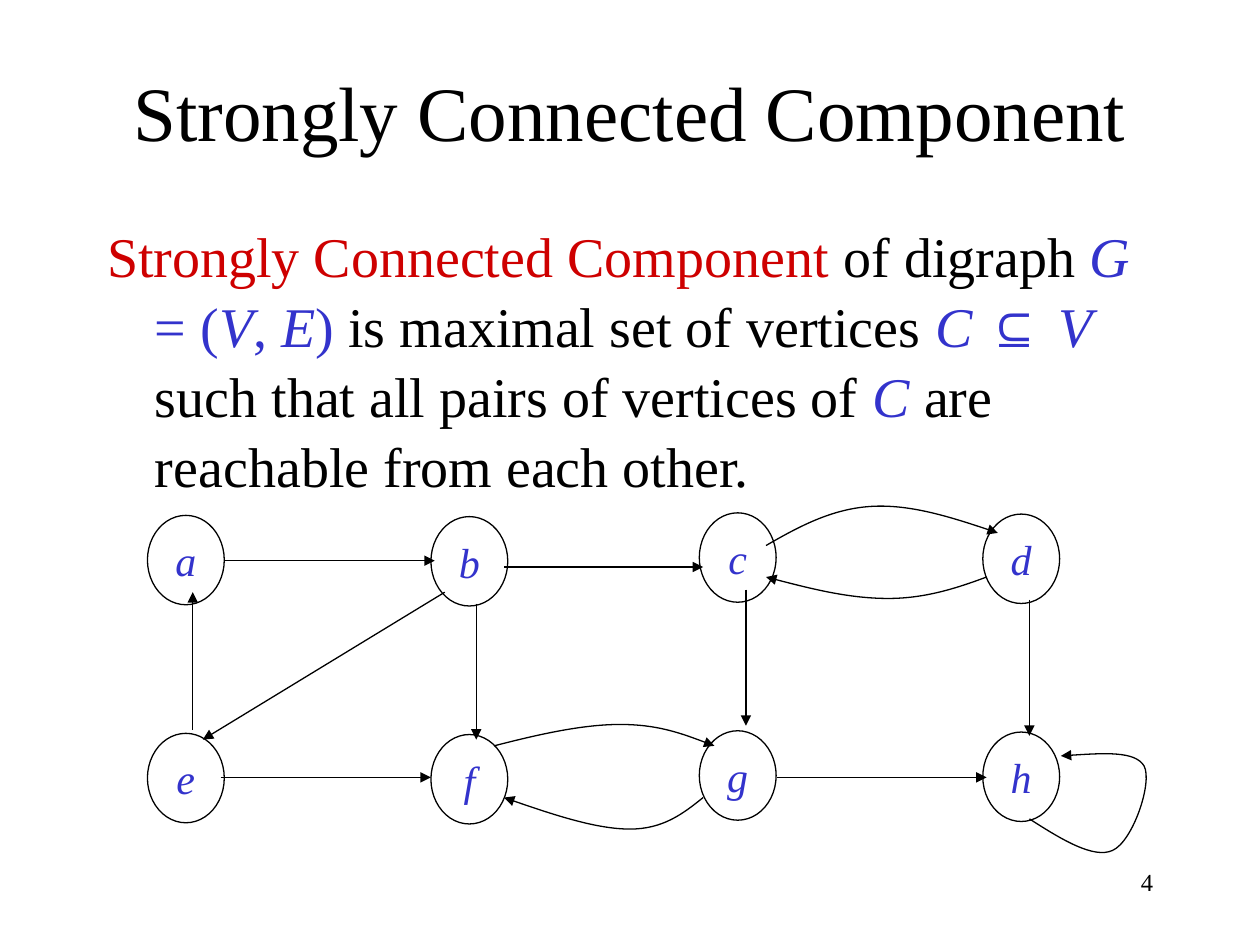
from lxml import etree
from pptx import Presentation
from pptx import util as u
from pptx.dml.color import RGBColor
from pptx.enum import shapes, text
from pptx.oxml import ns

theme = {
    "font": "Times New Roman", "symbol": "Arial",
    "ink": RGBColor.from_string("000000"),
    "term": RGBColor.from_string("CE0000"),
    "math": RGBColor.from_string("3333CC"),
    "title": u.Pt(44), "body": u.Pt(32), "node": u.Pt(24), "number": u.Pt(14),
    "line": u.Pt(0.75),
}


def write(paragraph, words, size, color, italic=False, font="font"):
    run = paragraph.add_run()
    run.text = words
    run.font.color.rgb = theme[color]
    look = {"size": theme[size], "name": theme[font], "italic": italic, "bold": False}
    for key, value in look.items():
        setattr(run.font, key, value)


def point_arrow(edge):
    edge.line.color.rgb = theme["ink"]
    edge.line.width = theme["line"]
    outline = edge.line._get_or_add_ln()
    etree.SubElement(outline, ns.qn("a:tailEnd"), type="triangle")
    if not edge._element.spPr.findall(ns.qn("a:effectLst")):
        etree.SubElement(edge._element.spPr, ns.qn("a:effectLst"))


deck = Presentation()
deck.slide_width, deck.slide_height = u.Inches(10), u.Inches(7.5)
slide = deck.slides.add_slide(deck.slide_layouts[1])
heading, definition = slide.placeholders
number = slide.shapes.add_textbox(0, 0, 0, 0)

boxes = [
    (heading, (0.75, 0.25, 8.5, 1.25), text.MSO_ANCHOR.MIDDLE, text.PP_ALIGN.CENTER),
    (definition, (0.75, 1.67, 8.5, 5), text.MSO_ANCHOR.TOP, text.PP_ALIGN.LEFT),
    (number, (7.17, 6.83, 2.08, 0.5), text.MSO_ANCHOR.TOP, text.PP_ALIGN.RIGHT),
]
for box, place, anchor, align in boxes:
    for side, length in zip(("left", "top", "width", "height"), place):
        setattr(box, side, u.Inches(length))
    frame = {"word_wrap": True, "auto_size": text.MSO_AUTO_SIZE.NONE, "vertical_anchor": anchor}
    for key, value in frame.items():
        setattr(box.text_frame, key, value)
    box.text_frame.paragraphs[0].alignment = align

write(heading.text_frame.paragraphs[0], "Strongly Connected Component", "title", "ink")
write(number.text_frame.paragraphs[0], "4", "number", "ink")

definition.text_frame.margin_top = u.Inches(0.07)
sentence = definition.text_frame.paragraphs[0]
indents = sentence._p.get_or_add_pPr()
indents.set("marL", str(u.Inches(0.38)))
indents.set("indent", str(-u.Inches(0.38)))
etree.SubElement(indents, ns.qn("a:buNone"))
sentence.space_before = u.Pt(0)
sentence.line_spacing = 1.04
for words, color, italic, font in [
    ("Strongly Connected Component", "term", False, "font"),
    (" of digraph ", "ink", False, "font"),
    ("G", "math", True, "font"),
    (" = (", "math", False, "font"),
    ("V", "math", True, "font"),
    (", ", "math", False, "font"),
    ("E", "math", True, "font"),
    (")", "math", False, "font"),
    (" is maximal set of vertices ", "ink", False, "font"),
    ("C ", "math", True, "font"),
    ("⊆ ", "math", False, "symbol"),
    ("V", "math", True, "font"),
    (" such that all pairs of vertices of ", "ink", False, "font"),
    ("C", "math", True, "font"),
    (" are reachable from each other.", "ink", False, "font"),
]:
    write(sentence, words, "body", color, italic, font)

row_gap = 1.73
columns = [(1.17, 4.09, "ae"), (3.42, 4.1, "bf"), (5.55, 4.07, "cg"), (7.8, 4.08, "dh")]
for left, top, letters in columns:
    for row, letter in enumerate(letters):
        place = (left, top + row * row_gap, 0.61, 0.71)
        vertex = slide.shapes.add_shape(shapes.MSO_SHAPE.OVAL, *map(u.Inches, place))
        vertex.shadow.inherit = False
        vertex.fill.background()
        vertex.line.color.rgb = theme["ink"]
        vertex.line.width = theme["line"]
        vertex.text_frame.vertical_anchor = text.MSO_ANCHOR.MIDDLE
        label = vertex.text_frame.paragraphs[0]
        label.alignment = text.PP_ALIGN.CENTER
        write(label, letter, "node", "math", True)

straight_edges = [
    (1.78, 4.45, 3.45, 4.45), (4, 4.5, 5.58, 4.5),
    (1.75, 6.17, 3.42, 6.17), (6.17, 6.17, 7.83, 6.17),
    (1.53, 5.79, 1.53, 4.7), (3.78, 4.79, 3.78, 5.87),
    (5.92, 4.68, 5.92, 5.76), (8.17, 4.76, 8.17, 5.84),
    (3.53, 4.7, 1.61, 5.87),
]
for ends in straight_edges:
    point_arrow(slide.shapes.add_connector(shapes.MSO_CONNECTOR.STRAIGHT, *map(u.Inches, ends)))

curved_edges = [
    [(3.92, 5.92), (4.27, 5.83), (4.62, 5.75), (4.92, 5.75), (5.21, 5.75), (5.44, 5.83), (5.67, 5.92)],
    [(5.58, 6.33), (5.42, 6.46), (5.26, 6.58), (5, 6.58), (4.74, 6.58), (4.37, 6.46), (4, 6.33)],
    [(6.08, 4.33), (6.34, 4.18), (6.6, 4.04), (6.91, 4.02), (7.21, 4), (7.57, 4.11), (7.92, 4.23)],
    [(7.83, 4.58), (7.59, 4.67), (7.34, 4.75), (7.05, 4.75), (6.75, 4.75), (6.42, 4.67), (6.08, 4.58)],
    [(8.17, 6.5), (8.42, 6.66), (8.68, 6.82), (8.83, 6.75), (8.99, 6.68), (9.15, 6.21),
     (9.08, 6.08), (9.01, 5.96), (8.72, 5.98), (8.42, 6)],
]
for controls in curved_edges:
    start, *rest = [(u.Inches(x), u.Inches(y)) for x, y in controls]
    outline = slide.shapes.build_freeform(*start)
    outline.add_line_segments(rest, close=False)
    curve = outline.convert_to_shape()
    steps = list(curve._element.iter(ns.qn("a:lnTo")))
    for first in range(0, len(steps), 3):
        bend = etree.SubElement(steps[first].getparent(), ns.qn("a:cubicBezTo"))
        for step in steps[first:first + 3]:
            bend.append(step[0])
            step.getparent().remove(step)
    curve.shadow.inherit = False
    curve.fill.background()
    point_arrow(curve)

deck.save("out.pptx")
